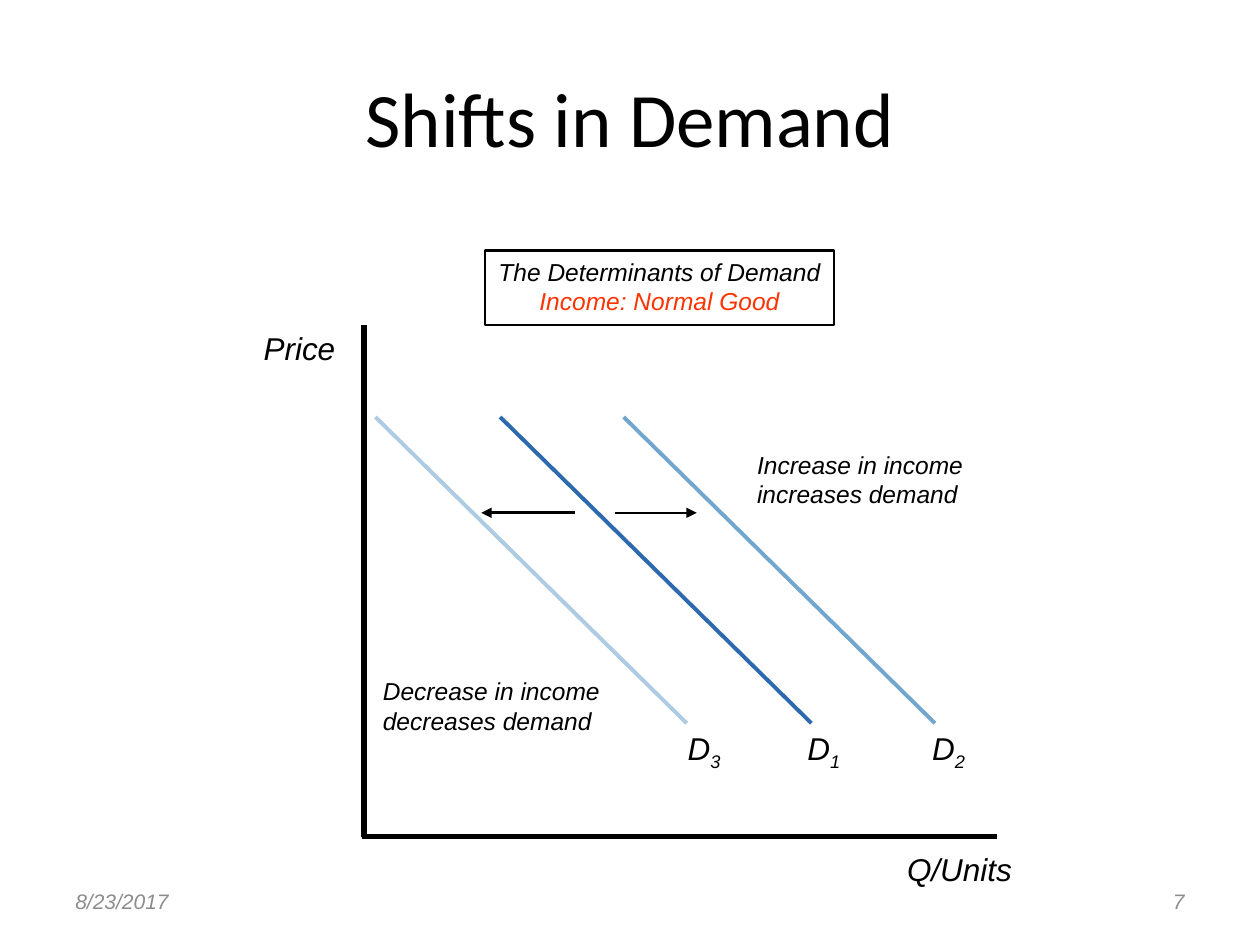
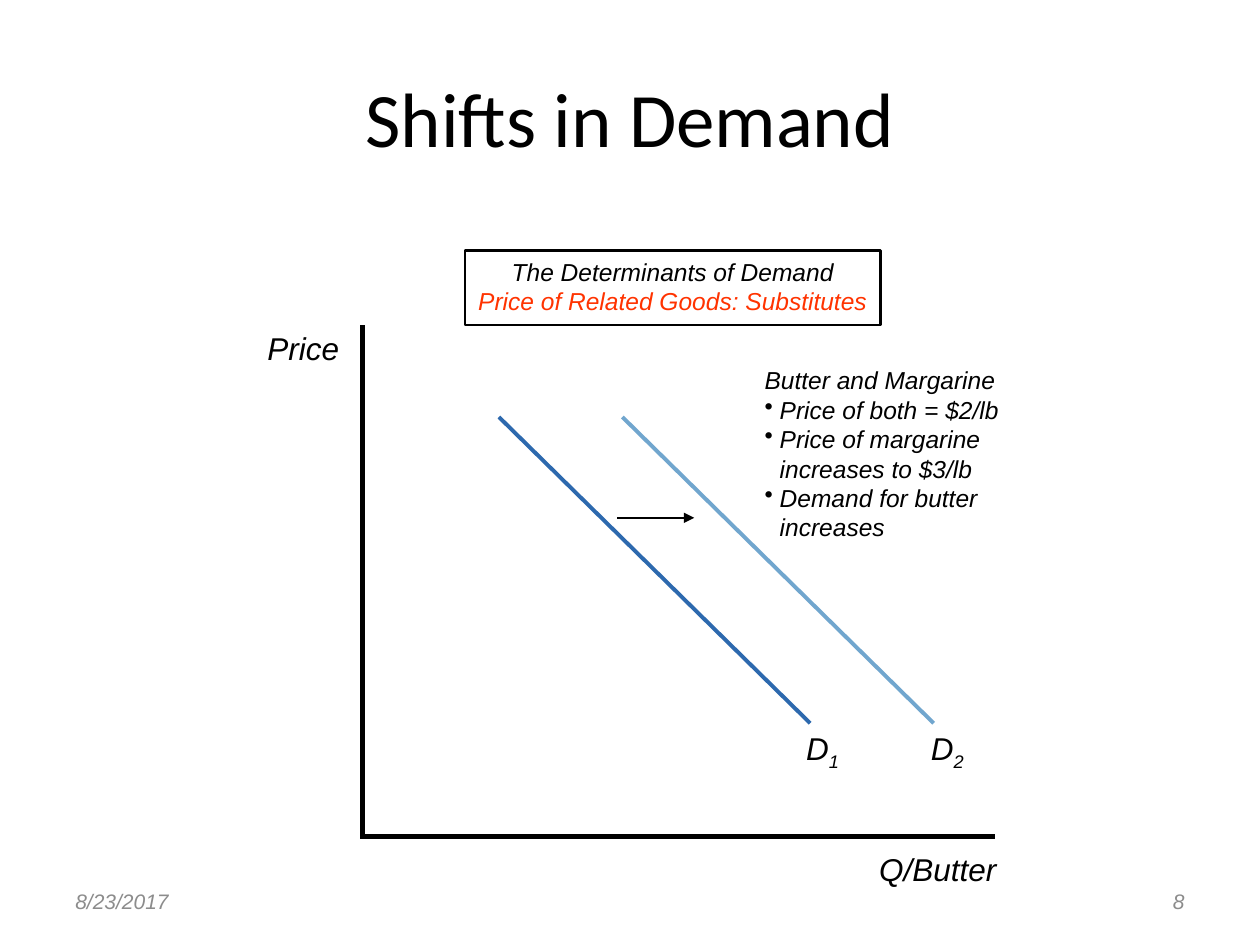
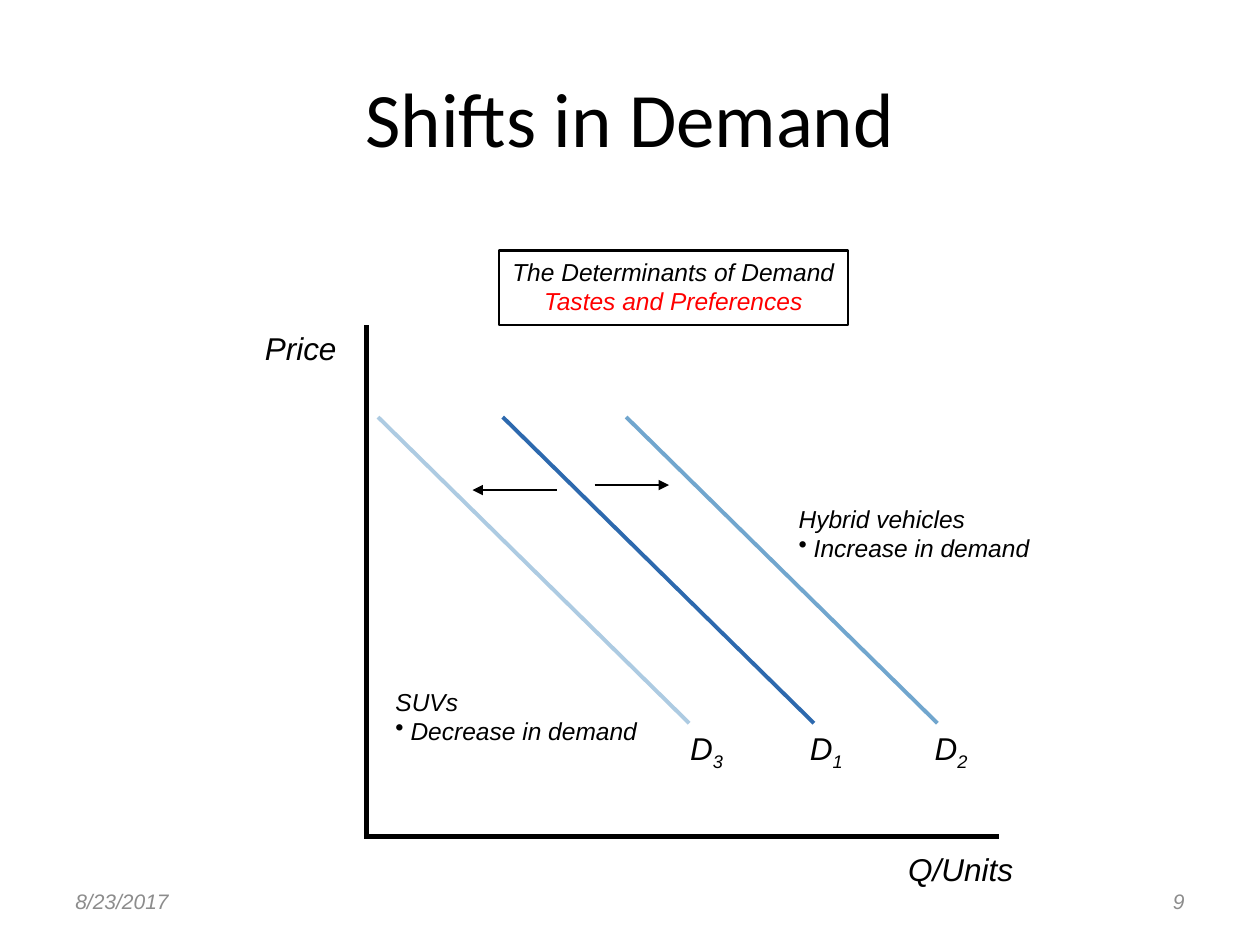
from dataclasses import dataclass

from lxml import etree
from pptx import Presentation
from pptx.dml.color import RGBColor
from pptx.enum.shapes import MSO_CONNECTOR, MSO_SHAPE
from pptx.enum.text import MSO_ANCHOR, MSO_AUTO_SIZE, PP_ALIGN
from pptx.oxml.ns import qn
from pptx.util import Inches, Pt

BLACK = RGBColor(0x00, 0x00, 0x00)
GRAY = RGBColor(0x8C, 0x8C, 0x8C)
ORANGE_RED = RGBColor(0xFF, 0x33, 0x00)
RED = RGBColor(0xFF, 0x00, 0x00)
MEDIUM_BLUE = RGBColor(0x2D, 0x69, 0xAE)
LIGHT_BLUE = RGBColor(0x71, 0xA6, 0xCE)
PALE_BLUE = RGBColor(0xAD, 0xCB, 0xE2)

CURVE_TOP, CURVE_BOTTOM, CURVE_WIDTH = 3.31, 5.74, 2.47
AXIS_TOP, AXIS_BOTTOM, AXIS_WIDTH = 2.58, 6.64, 5.04
BULLET_INDENT = 0.12


@dataclass
class DemandCurve:
    """A curve whose start and label are measured from the price axis."""
    number: str
    start: float
    label: float
    color: RGBColor


ORIGINAL_DEMAND = DemandCurve("1", 1.08, 3.42, MEDIUM_BLUE)
HIGHER_DEMAND = DemandCurve("2", 2.06, 4.41, LIGHT_BLUE)
LOWER_DEMAND = DemandCurve("3", 0.09, 2.47, PALE_BLUE)


def format_text(paragraph, size, color=BLACK, font_name="Arial", italic=True):
    for run in paragraph.runs:
        run.font.name = font_name
        run.font.size = Pt(size)
        run.font.italic = italic
        run.font.color.rgb = color


def add_text(slide, text, left, top, width, height, size, color=BLACK,
             alignment=PP_ALIGN.LEFT, font_name="Arial", italic=True):
    """Add a one-line text box and return it."""
    text_box = slide.shapes.add_textbox(Inches(left), Inches(top), Inches(width), Inches(height))
    text_box.text_frame.text = text
    paragraph = text_box.text_frame.paragraphs[0]
    paragraph.alignment = alignment
    format_text(paragraph, size, color, font_name, italic)
    return text_box


def add_graph_label(slide, text, left, top, width, alignment=PP_ALIGN.LEFT):
    """Add a label that stays on one line and return it."""
    label = add_text(slide, text, left, top, width, 0.4, 18, alignment=alignment)
    label.text_frame.word_wrap = False
    label.text_frame.auto_size = MSO_AUTO_SIZE.SHAPE_TO_FIT_TEXT
    return label


def add_line(slide, start, end, color=BLACK, width=1.5, arrow=False):
    start_x, start_y = start
    end_x, end_y = end
    connector = slide.shapes.add_connector(
        MSO_CONNECTOR.STRAIGHT,
        Inches(start_x), Inches(start_y), Inches(end_x), Inches(end_y))
    connector.line.color.rgb = color
    connector.line.width = Pt(width)
    if arrow:
        line = connector.line._get_or_add_ln()
        etree.SubElement(line, qn("a:tailEnd"), type="triangle")
    etree.SubElement(connector._element.spPr, qn("a:effectLst"))


def add_shift_arrow(slide, start_x, end_x, y, width=1.5):
    add_line(slide, (start_x, y), (end_x, y), width=width, arrow=True)


def add_determinant_box(slide, determinant, left, width, color):
    box = slide.shapes.add_shape(
        MSO_SHAPE.RECTANGLE, Inches(left), Inches(1.99), Inches(width), Inches(0.59))
    box.shadow.inherit = False
    box.fill.background()
    box.line.color.rgb = BLACK
    box.line.width = Pt(1.5)
    text_frame = box.text_frame
    text_frame.word_wrap = False
    text_frame.vertical_anchor = MSO_ANCHOR.TOP
    text_frame.text = f"The Determinants of Demand\n{determinant}"
    for paragraph, text_color in zip(text_frame.paragraphs, (BLACK, color)):
        paragraph.alignment = PP_ALIGN.CENTER
        format_text(paragraph, 14, text_color)


def add_bullet(paragraph):
    properties = paragraph._p.get_or_add_pPr()
    properties.set("marL", str(Inches(BULLET_INDENT)))
    properties.set("indent", str(-Inches(BULLET_INDENT)))
    etree.SubElement(properties, qn("a:buChar"), char="•")


def add_note(slide, lines, left, top, width, height, bulleted=False):
    """Add a note; with bulleted, every line after the first gets a bullet."""
    text_box = slide.shapes.add_textbox(Inches(left), Inches(top), Inches(width), Inches(height))
    text_frame = text_box.text_frame
    text_frame.word_wrap = True
    text_frame.auto_size = MSO_AUTO_SIZE.SHAPE_TO_FIT_TEXT
    text_frame.text = "\n".join(lines)
    for index, paragraph in enumerate(text_frame.paragraphs):
        if bulleted and index > 0:
            add_bullet(paragraph)
        format_text(paragraph, 14)


def add_axes(slide, axis_x, price_left, quantity, quantity_left, quantity_width):
    add_line(slide, (axis_x, AXIS_TOP), (axis_x, AXIS_BOTTOM), width=3)
    corner_x = axis_x - 0.02
    add_line(slide, (corner_x, AXIS_BOTTOM), (corner_x + AXIS_WIDTH, AXIS_BOTTOM), width=3)
    add_graph_label(slide, "Price", price_left, 2.56, 0.77, PP_ALIGN.RIGHT)
    add_graph_label(slide, quantity, quantity_left, 6.7, quantity_width)


def add_curves(slide, axis_x, curves):
    for curve in curves:
        start_x = axis_x + curve.start
        add_line(slide, (start_x, CURVE_TOP), (start_x + CURVE_WIDTH, CURVE_BOTTOM),
                 curve.color, 2.25)
        label = add_graph_label(slide, "D", axis_x + curve.label, CURVE_BOTTOM, 0.47)
        paragraph = label.text_frame.paragraphs[0]
        subscript = paragraph.add_run()
        subscript.text = curve.number
        format_text(paragraph, 18)
        subscript.font._element.set("baseline", "-25000")


def add_demand_slide(presentation, number):
    """Add a slide with the shared title, date and slide number."""
    slide = presentation.slides.add_slide(presentation.slide_layouts[6])
    title = add_text(slide, "Shifts in Demand", 0.5, 0.3, 9, 1.25, 44,
                     alignment=PP_ALIGN.CENTER, font_name="Calibri", italic=False)
    date = add_text(slide, "8/23/2017", 0.5, 6.95, 2.33, 0.4, 12, GRAY)
    page = add_text(slide, str(number), 7.17, 6.95, 2.33, 0.4, 12, GRAY, PP_ALIGN.RIGHT)
    for text_box in (title, date, page):
        text_box.text_frame.word_wrap = True
        text_box.text_frame.vertical_anchor = MSO_ANCHOR.MIDDLE
    return slide


def add_income_slide(presentation):
    slide = add_demand_slide(presentation, 7)
    add_determinant_box(slide, "Income: Normal Good", 3.85, 2.77, ORANGE_RED)
    add_axes(slide, 2.89, 1.99, "Q/Units", 7.1, 1.05)
    add_curves(slide, 2.89, (ORIGINAL_DEMAND, HIGHER_DEMAND, LOWER_DEMAND))
    add_note(slide, ("Decrease in income", "decreases demand"), 2.94, 5.32, 1.95, 0.57)
    add_shift_arrow(slide, 4.56, 3.82, 4.07)
    add_note(slide, ("Increase in income", "increases demand"), 5.91, 3.52, 1.85, 0.57)
    add_shift_arrow(slide, 4.88, 5.53, 4.07, width=1)


def add_substitutes_slide(presentation):
    slide = add_demand_slide(presentation, 8)
    add_determinant_box(slide, "Price of Related Goods: Substitutes", 3.69, 3.3, ORANGE_RED)
    add_axes(slide, 2.88, 2.02, "Q/Butter", 6.88, 1.13)
    add_curves(slide, 2.88, (ORIGINAL_DEMAND, HIGHER_DEMAND))
    add_note(slide, ("Butter and Margarine", "Price of both = $2/lb",
                     "Price of margarine increases to $3/lb",
                     "Demand for butter increases"),
             5.97, 2.85, 2.26, 1.5, bulleted=True)
    add_shift_arrow(slide, 4.9, 5.51, 4.11)


def add_preferences_slide(presentation):
    slide = add_demand_slide(presentation, 9)
    add_determinant_box(slide, "Tastes and Preferences", 3.96, 2.77, RED)
    add_axes(slide, 2.91, 2, "Q/Units", 7.11, 1.05)
    add_curves(slide, 2.91, (ORIGINAL_DEMAND, HIGHER_DEMAND, LOWER_DEMAND))
    add_note(slide, ("Hybrid vehicles", "Increase in demand"),
             6.24, 3.95, 2.07, 0.57, bulleted=True)
    add_shift_arrow(slide, 4.72, 5.31, 3.85)
    add_note(slide, ("SUVs", "Decrease in demand"), 3.04, 5.4, 2.14, 0.57, bulleted=True)
    add_shift_arrow(slide, 4.42, 3.75, 3.89)


def main():
    presentation = Presentation()
    presentation.slide_width = Inches(10)
    presentation.slide_height = Inches(7.5)
    add_income_slide(presentation)
    add_substitutes_slide(presentation)
    add_preferences_slide(presentation)
    presentation.save("out.pptx")


if __name__ == "__main__":
    main()
